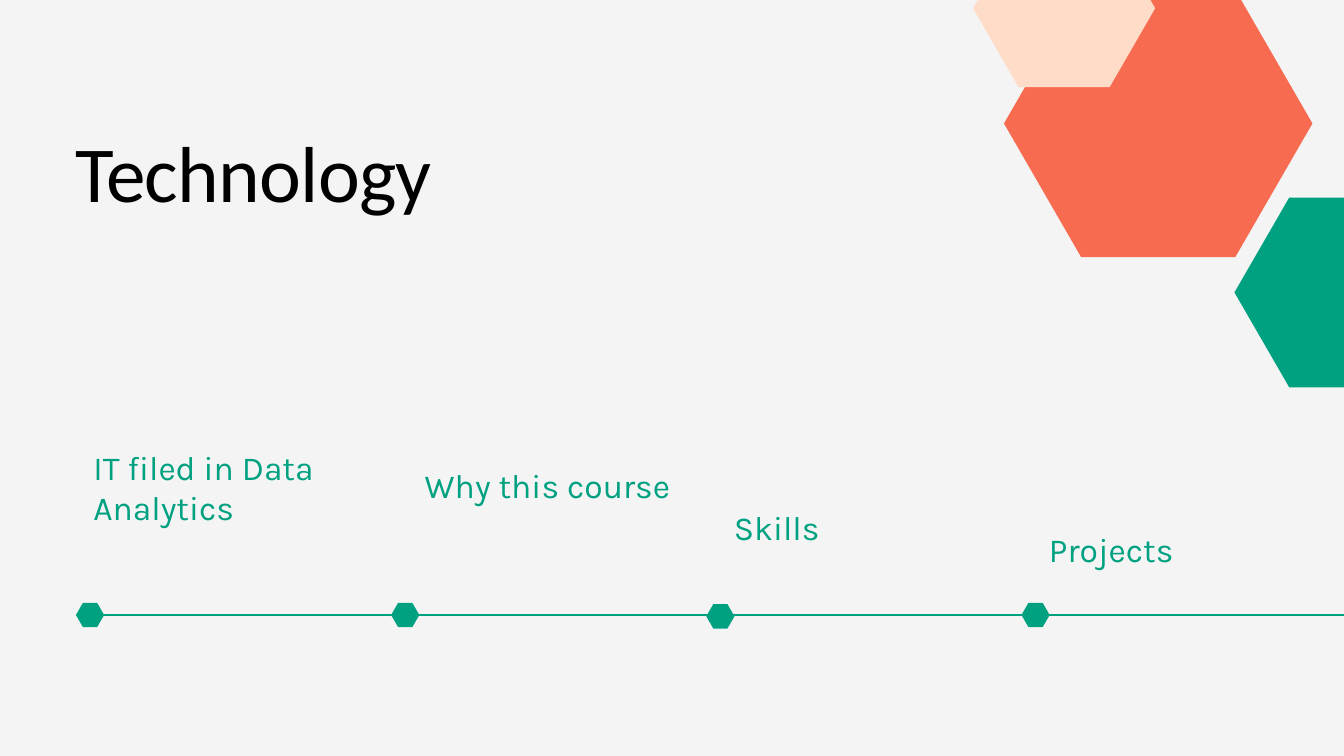
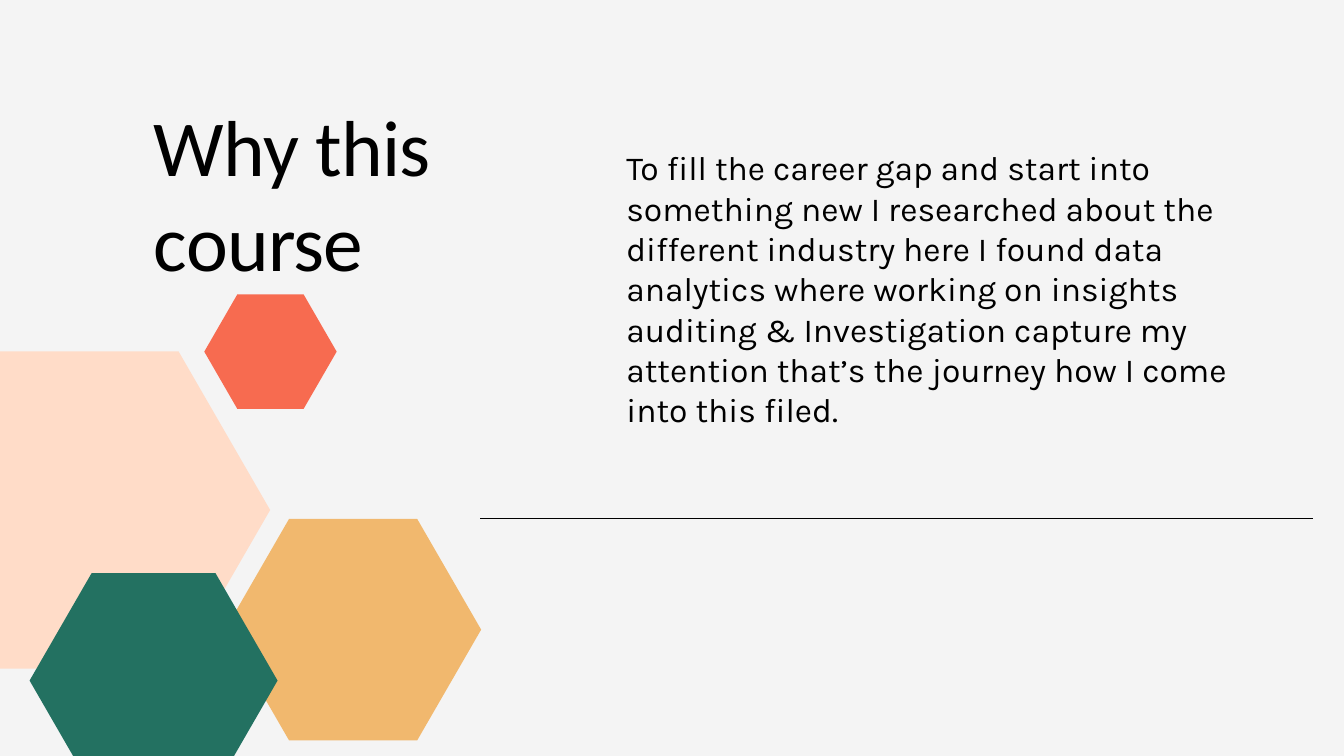
import math
from dataclasses import dataclass

from lxml import etree
from pptx import Presentation
from pptx.dml.color import RGBColor
from pptx.enum import shapes, text
from pptx.oxml.ns import qn
from pptx.util import Inches, Pt


@dataclass(frozen=True)
class Theme:
    background: str = "F4F4F4"
    black: str = "000000"
    green: str = "00A181"
    forest: str = "237161"
    coral: str = "F76B50"
    peach: str = "FFDCC8"
    amber: str = "F1B86E"
    title_font: str = "Calibri"
    title_size: float = 85
    title_leading: float = 102
    title_tracking: float = -0.8
    body_font: str = "Karla"
    body_size: float = 36
    body_leading: float = 43.2


THEME = Theme()

# Boxes are left, top, width, height in inches.
AGENDA_TITLE = ("Technology", (1.12, 1.84, 10.09, 1.41))
# Label, its box, top of its marker.
AGENDA = [
    ("IT filed in Data Analytics", (1.39, 6.65, 3.68, 1.78), 8.97),
    ("Why this course", (6.32, 6.92, 3.68, 1.19), 8.97),
    ("Skills", (10.92, 7.54, 3.68, 0.59), 8.99),
    ("Projects", (15.61, 7.87, 3.68, 0.59), 8.97),
]
TIMELINE_Y = 9.15
MARKER_LEFT, MARKER_STEP, MARKER_WIDTH = 1.13, 4.69, 0.42

REASON_TITLE = ("Why this course", (2.29, 1.45, 6.03, 2.81))
REASON = (
    "To fill the career gap and start into something new I researched about "
    "the different industry here I found data analytics where working on "
    "insights auditing & Investigation capture my attention that’s the "
    "journey how I come into this filed.",
    (9.32, 2.19, 9.05, 4.16),
)

# Left, top, width, colour, from back to front.
AGENDA_HEXAGONS = [
    (18.37, 2.94, 3.26, THEME.green),
    (14.94, -0.15, 4.59, THEME.coral),
    (14.48, -1.05, 2.71, THEME.peach),
]
REASON_HEXAGONS = [
    (-1.43, 5.23, 5.45, THEME.peach),
    (3.35, 7.72, 3.81, THEME.amber),
    (3.04, 4.38, 1.97, THEME.coral),
    (0.44, 8.53, 3.69, THEME.forest),
]


def color(value):
    return RGBColor.from_string(value)


def add_page(deck):
    page = deck.slides.add_slide(deck.slide_layouts[6])
    page.background.fill.solid()
    page.background.fill.fore_color.rgb = color(THEME.background)
    return page


def add_text(page, words, area, font, size, leading, ink):
    box = page.shapes.add_textbox(*map(Inches, area))
    frame = box.text_frame
    frame.word_wrap = True
    frame.auto_size = text.MSO_AUTO_SIZE.SHAPE_TO_FIT_TEXT
    frame.margin_left = frame.margin_top = 0
    frame.margin_right = frame.margin_bottom = 0
    para = frame.paragraphs[0]
    span = para.add_run()
    span.text = words
    para.line_spacing = Pt(leading)
    para.font.name = font
    para.font.size = Pt(size)
    para.font.color.rgb = color(ink)
    return span


def add_title(page, words, area):
    span = add_text(page, words, area, THEME.title_font, THEME.title_size,
                    THEME.title_leading, THEME.black)
    tracking = round(THEME.title_tracking * 100)
    span.font._element.set("spc", str(tracking))


def add_body(page, words, area, ink):
    add_text(page, words, area, THEME.body_font, THEME.body_size,
             THEME.body_leading, ink)


def add_hexagon(page, left, top, width, fill):
    """Add a regular hexagon with flat top and bottom sides."""
    height = width * math.sqrt(3) / 2
    hexagon = page.shapes.add_shape(
        shapes.MSO_SHAPE.HEXAGON, *map(Inches, (left, top, width, height)))
    hexagon.adjustments[0] = width / 4 / height
    hexagon.shadow.inherit = False
    hexagon.fill.solid()
    hexagon.fill.fore_color.rgb = color(fill)
    hexagon.line.fill.background()


def add_rule(page, start, end, y, ink, weight):
    rule = page.shapes.add_connector(
        shapes.MSO_CONNECTOR.STRAIGHT, *map(Inches, (start, y, end, y)))
    rule.line.color.rgb = color(ink)
    rule.line.width = Pt(weight)
    etree.SubElement(rule._element.spPr, qn("a:effectLst"))


def build_agenda(deck):
    page = add_page(deck)
    add_rule(page, 1.39, 20, TIMELINE_Y, THEME.green, 1.5)
    add_title(page, *AGENDA_TITLE)
    for index, (label, area, marker_top) in enumerate(AGENDA):
        add_body(page, label, area, THEME.green)
        add_hexagon(page, MARKER_LEFT + index * MARKER_STEP, marker_top,
                    MARKER_WIDTH, THEME.green)
    for hexagon in AGENDA_HEXAGONS:
        add_hexagon(page, *hexagon)


def build_reason(deck):
    page = add_page(deck)
    add_title(page, *REASON_TITLE)
    for hexagon in REASON_HEXAGONS:
        add_hexagon(page, *hexagon)
    add_body(page, *REASON, THEME.black)
    add_rule(page, 7.15, 19.54, 7.72, THEME.black, 0.75)


def main():
    deck = Presentation()
    deck.slide_width = Inches(20)
    deck.slide_height = Inches(11.25)
    build_agenda(deck)
    build_reason(deck)
    deck.save("out.pptx")


if __name__ == "__main__":
    main()
